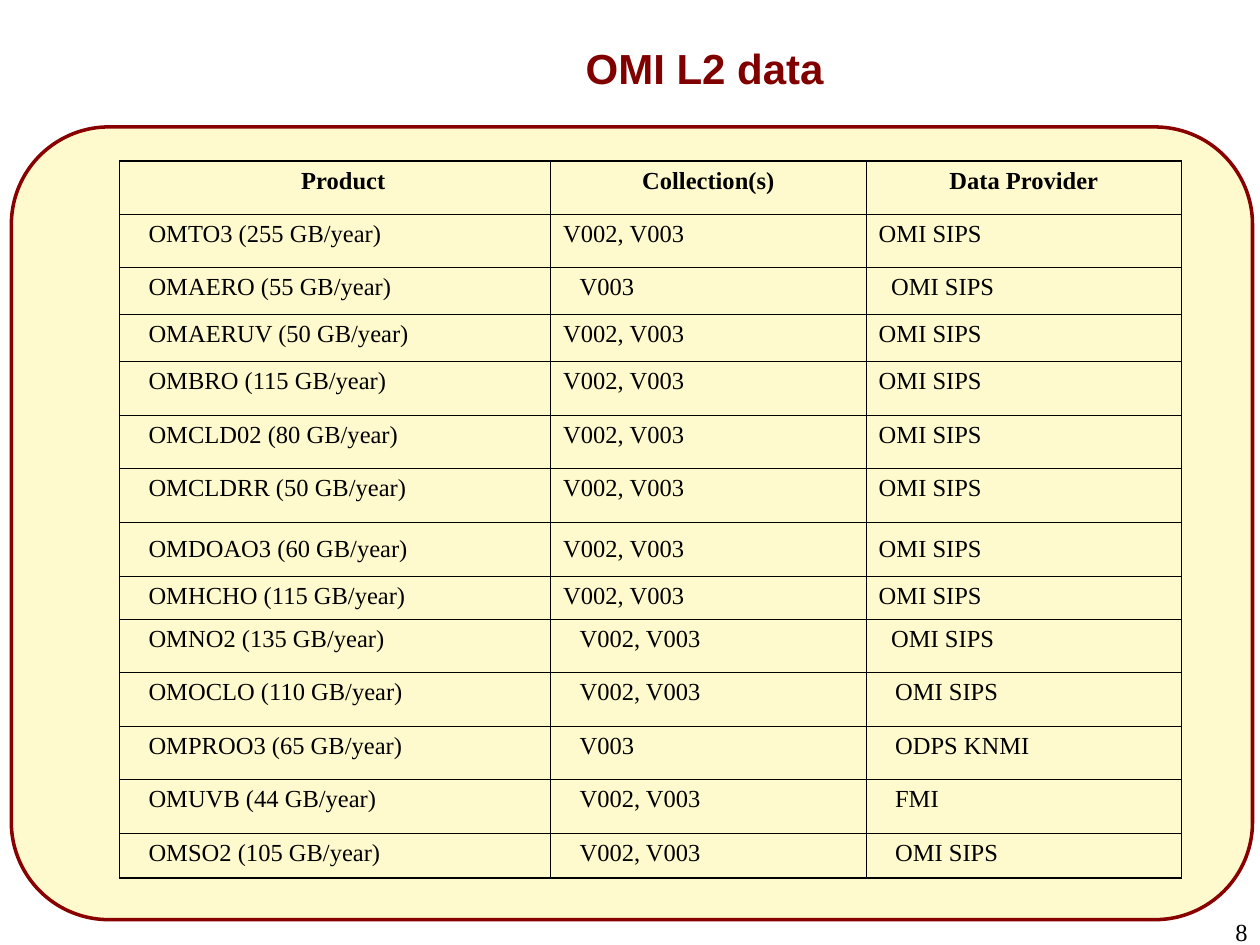
from lxml import etree
from pptx import Presentation
from pptx.dml.color import RGBColor
from pptx.enum.shapes import MSO_SHAPE
from pptx.enum.text import MSO_ANCHOR, MSO_AUTO_SIZE, PP_ALIGN
from pptx.oxml.ns import qn
from pptx.util import Cm, Pt

ROUNDED = MSO_SHAPE.ROUNDED_RECTANGLE
TOP, MIDDLE = MSO_ANCHOR.TOP, MSO_ANCHOR.MIDDLE
NO_AUTOFIT = MSO_AUTO_SIZE.NONE
LEFT, CENTER, RIGHT = PP_ALIGN.LEFT, PP_ALIGN.CENTER, PP_ALIGN.RIGHT

MAROON, CREAM, BLACK = "890000", "FFFACD", "000000"
TITLE_RED = "800000"
BODY_FONT = "Times New Roman"
OUTER_LINE, INNER_LINE = Pt(1.08), Pt(0.45)

HEADINGS = ("Product", "Collection(s)", "Data Provider")
COLUMN_WIDTHS = (8.69, 6.36, 6.36)
HEADING_HEIGHT = 1.07
STEP, HALF_STEP = 0.33, 0.25
BOTH = "V002, V003"
SIPS = "OMI SIPS"
# product, collections, provider, indents of the last two, row height
PRODUCTS = (
    ("OMTO3 (255 GB/year)", BOTH, SIPS, 0, 0, 1.07),
    ("OMAERO (55 GB/year)", "V003", SIPS, STEP, HALF_STEP, 0.95),
    ("OMAERUV (50 GB/year)", BOTH, SIPS, 0, 0, 0.95),
    ("OMBRO (115 GB/year)", BOTH, SIPS, 0, 0, 1.08),
    ("OMCLD02 (80 GB/year)", BOTH, SIPS, 0, 0, 1.08),
    ("OMCLDRR (50 GB/year)", BOTH, SIPS, 0, 0, 1.08),
    ("OMDOAO3 (60 GB/year)", BOTH, SIPS, 0, 0, 1.08),
    ("OMHCHO (115 GB/year)", BOTH, SIPS, 0, 0, 0.87),
    ("OMNO2 (135 GB/year)", BOTH, SIPS, STEP, HALF_STEP, 1.08),
    ("OMOCLO (110 GB/year)", BOTH, SIPS, STEP, STEP, 1.08),
    ("OMPROO3 (65 GB/year)", "V003", "ODPS KNMI", STEP, STEP, 1.08),
    ("OMUVB (44 GB/year)", BOTH, "FMI", STEP, STEP, 1.08),
    ("OMSO2 (105 GB/year)", BOTH, SIPS, STEP, STEP, 0.9),
)
CENTERED_PRODUCT = "OMDOAO3 (60 GB/year)"


def rgb(color):
    return RGBColor.from_string(color)


def format_text(paragraph, size, color=BLACK, font=BODY_FONT, bold=False, align=LEFT):
    paragraph.alignment = align
    for run in paragraph.runs:
        run.font.size = Pt(size)
        run.font.name = font
        run.font.bold = bold
        run.font.color.rgb = rgb(color)


def add_panel(slide):
    panel = slide.shapes.add_shape(ROUNDED, Cm(0.23), Cm(2.56), Cm(25.02), Cm(15.98))
    panel.adjustments[0] = 0.123
    panel.shadow.inherit = False
    panel.fill.solid()
    panel.fill.fore_color.rgb = rgb(CREAM)
    panel.line.color.rgb = rgb(MAROON)
    panel.line.width = Pt(2)


def set_title(slide, text):
    title = slide.shapes.title
    title.left, title.top, title.width, title.height = Cm(4.83), Cm(0.64), Cm(18.75), Cm(1.6)
    frame = title.text_frame
    frame.text = text
    frame.auto_size = NO_AUTOFIT
    frame.vertical_anchor = MIDDLE
    frame.paragraphs[0].line_spacing = 0.87
    format_text(frame.paragraphs[0], 24, TITLE_RED, "Arial", True, CENTER)


def set_borders(cell, widths):
    """Draw the cell's sides; widths are left, right, top, bottom."""
    properties = cell._tc.get_or_add_tcPr()
    for side, width in zip("LRTB", widths):
        border = etree.SubElement(properties, qn(f"a:ln{side}"), w=str(int(width)))
        fill = etree.SubElement(border, qn("a:solidFill"))
        etree.SubElement(fill, qn("a:srgbClr"), val=BLACK)


def fill_cell(cell, text, indent, heading, anchor):
    cell.text_frame.text = text
    cell.vertical_anchor = anchor
    paragraph = cell.text_frame.paragraphs[0]
    properties = paragraph._p.get_or_add_pPr()
    properties.set("marL", str(int(Cm(indent))))
    properties.set("indent", "0")
    format_text(paragraph, 14, bold=heading, align=CENTER if heading else LEFT)


def add_product_table(slide):
    records = [(*HEADINGS, 0, 0, HEADING_HEIGHT), *PRODUCTS]
    heights = [record[-1] for record in records]
    table = slide.shapes.add_table(
        len(records), len(HEADINGS), Cm(2.41), Cm(3.25),
        Cm(sum(COLUMN_WIDTHS)), Cm(sum(heights))).table
    table.first_row = table.horz_banding = False
    for column, width in zip(table.columns, COLUMN_WIDTHS):
        column.width = Cm(width)

    last_row, last_column = len(records) - 1, len(HEADINGS) - 1
    for r, (product, collections, provider, *indents, height) in enumerate(records):
        table.rows[r].height = Cm(height)
        anchor = MIDDLE if product == CENTERED_PRODUCT else TOP
        texts = (product, collections, provider)
        for c, (text, indent) in enumerate(zip(texts, (STEP, *indents))):
            cell = table.cell(r, c)
            fill_cell(cell, text, indent, r == 0, anchor)
            at_edge = (c == 0, c == last_column, r == 0, r == last_row)
            set_borders(cell, [OUTER_LINE if edge else INNER_LINE for edge in at_edge])
            cell.fill.background()


def add_page_number(slide, number):
    box = slide.shapes.add_textbox(Cm(23.8), Cm(18.36), Cm(1.6), Cm(0.69))
    frame = box.text_frame
    frame.word_wrap = True
    frame.text = number
    format_text(frame.paragraphs[0], 14, align=RIGHT)


def main():
    presentation = Presentation()
    presentation.slide_width, presentation.slide_height = Cm(25.4), Cm(19.05)
    slide = presentation.slides.add_slide(presentation.slide_layouts[5])
    add_panel(slide)
    set_title(slide, "OMI L2 data")
    add_product_table(slide)
    add_page_number(slide, "8")
    presentation.save("out.pptx")


if __name__ == "__main__":
    main()
